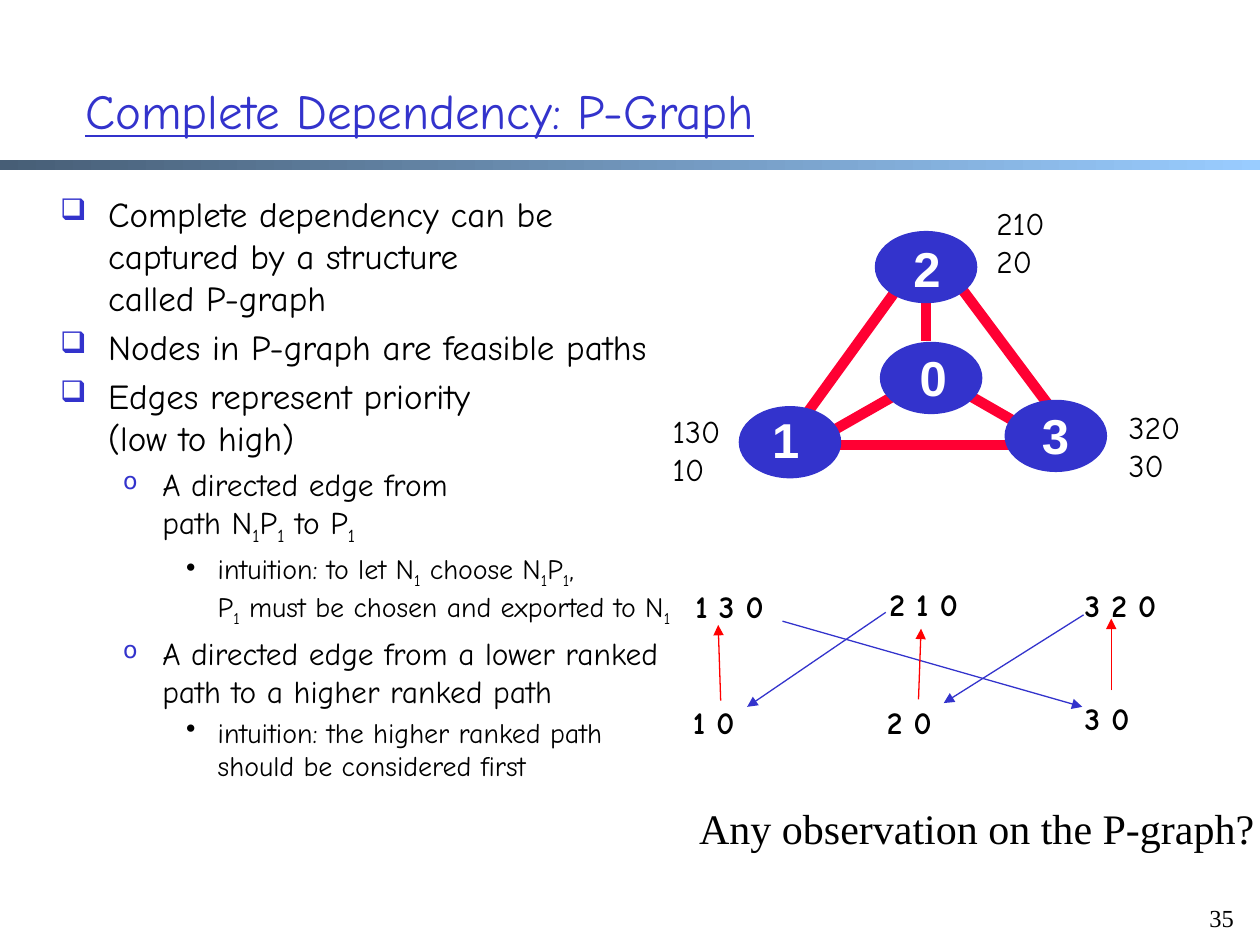
import pptx
import pptx.util
import pptx.dml.color
import pptx.enum.shapes
import pptx.enum.text
import pptx.oxml.ns
import lxml.etree

COLUMNS, ROWS = 100, 75
SLIDE_WIDTH, SLIDE_HEIGHT = pptx.util.Inches(10), pptx.util.Inches(7.5)
COLORS = {"blue": "3333CC", "red": "FF0000", "edge": "FF0033", "black": "000000",
          "white": "FFFFFF", "bar_start": "475E76", "bar_end": "99CCFF"}
HAND = "Comic Neue"
FORMATS = {
    "title": {"name": HAND, "size": 28, "underline": True, "color": "blue"},
    "topic": {"name": HAND, "size": 20},
    "point": {"name": HAND, "size": 18},
    "detail": {"name": HAND, "size": 16},
    "path": {"name": HAND, "size": 18, "bold": True},
    "node": {"name": "Arial", "size": 28, "bold": True, "color": "white"},
    "question": {"name": "Times New Roman", "size": 24},
    "number": {"name": "Times New Roman", "size": 14},
}
# Format: (bullet, text indent, hanging indent, bullet size in %, bullet colour)
BULLETS = {"topic": ("❑", 3.8, 3.8, 85, "blue"),
           "point": ("o", 8.1, 3.1, 75, "blue"),
           "detail": ("•", 12.5, 2.5, 100, "black")}
OUTLINE = [
    ("topic", "Complete dependency can be captured by a structure\ncalled P-graph"),
    ("topic", "Nodes in P-graph are feasible paths"),
    ("topic", "Edges represent priority \n(low to high)"),
    ("point", "A directed edge from \npath N_1_P_1_ to P_1_"),
    ("detail", "intuition: to let N_1_ choose N_1_P_1_, \n"
               "P_1_ must be chosen and exported to N_1_"),
    ("point", "A directed edge from a lower ranked path to a higher ranked path"),
    ("detail", "intuition: the higher ranked path should be considered first"),
]
NETWORK_EDGES = [(85.2, 34.8, 74.9, 21), (72.6, 21, 61.8, 35.9), (73.5, 19.4, 73.5, 27.1),
                 (73.1, 30.2, 65.9, 34.3), (82, 34.3, 76.6, 31.2), (86.1, 35.3, 61.8, 35.3)]
# Node: (ellipse left, ellipse top, digit left, digit top)
NODES = {"2": (69.5, 18.4, 71.5, 18.4), "0": (69.9, 27.2, 72, 27.1),
         "3": (79.8, 31.8, 81.7, 31.7), "1": (58.7, 32.3, 60.3, 32)}
RANKINGS = [("320\n30", 88.6, 31.9, 6.6), ("210\n20", 78.1, 15.7, 6.2),
            ("130\n10", 52.4, 32.2, 6.2)]
PATHS = [("1 3 0", 54.2, 46.1), ("2 1 0", 69.6, 45.9), ("3 2 0", 85.1, 46),
         ("1 0", 54, 55.3), ("2 0", 69.4, 55.3), ("3 0", 85.1, 55)]
DEPENDENCIES = {
    "blue": [(62.1, 49.3, 85.9, 56.1), (70.3, 48.6, 59.3, 56.1), (86, 48.8, 74.9, 55.8)],
    "red": [(57.2, 55.6, 57, 49.6), (72.9, 55.5, 73.1, 49.9), (88.2, 54.8, 88.2, 49.1)],
}


def color(name):
    return pptx.dml.color.RGBColor.from_string(COLORS[name])


def across(columns):
    return round(SLIDE_WIDTH * columns / COLUMNS)


def down(rows):
    return round(SLIDE_HEIGHT * rows / ROWS)


def area(left, top, width, height):
    return across(left), down(top), across(width), down(height)


def add_element(parent, tag, **attributes):
    return lxml.etree.SubElement(parent, pptx.oxml.ns.qn(tag), attributes)


def format_font(font, style):
    values = {"color": "black", **FORMATS[style]}
    font.color.rgb = color(values.pop("color"))
    values["size"] = pptx.util.Pt(values["size"])
    for name, value in values.items():
        setattr(font, name, value)


def write(para, text, style):
    """Write text in which \\n breaks the line and _x_ lowers x."""
    for row, line in enumerate(text.split("\n")):
        if row:
            para.add_line_break()
        for position, part in enumerate(line.split("_")):
            if not part:
                continue
            span = para.add_run()
            span.text = part
            format_font(span.font, style)
            if position % 2:
                span.font._element.set("baseline", "-25000")


def add_text(page, text, place, style, wrap=True):
    """Add a text box with one paragraph for each line of text."""
    box = page.shapes.add_textbox(*area(*place))
    frame = box.text_frame
    frame.word_wrap = wrap
    for row, line in enumerate(text.split("\n")):
        write(frame.add_paragraph() if row else frame.paragraphs[0], line, style)
    return frame


def add_bullet(para, style):
    sign, indent, hanging, size, shade = BULLETS[style]
    settings = para._p.get_or_add_pPr()
    settings.set("marL", str(across(indent)))
    settings.set("indent", str(-across(hanging)))
    add_element(add_element(settings, "a:buClr"), "a:srgbClr", val=COLORS[shade])
    add_element(settings, "a:buSzPct", val=str(size * 1000))
    add_element(settings, "a:buChar", char=sign)


def add_outline(page):
    box = page.shapes.add_textbox(*area(3.8, 14.8, 50.4, 53.1))
    box.text_frame.word_wrap = True
    for row, (style, text) in enumerate(OUTLINE):
        para = box.text_frame.add_paragraph() if row else box.text_frame.paragraphs[0]
        add_bullet(para, style)
        para.level = list(BULLETS).index(style)
        if row:
            para.space_before = pptx.util.Pt(FORMATS[style]["size"] * 0.2)
        write(para, text, style)


def add_line(page, ends, shade, width, arrow=False):
    left, top, right, bottom = ends
    line = page.shapes.add_connector(pptx.enum.shapes.MSO_CONNECTOR.STRAIGHT,
                                     across(left), down(top), across(right), down(bottom))
    line.line.color.rgb = color(shade)
    line.line.width = pptx.util.Pt(width)
    if arrow:
        add_element(line.line._get_or_add_ln(), "a:tailEnd", type="triangle")
    add_element(line._element.spPr, "a:effectLst")


def add_bar(page):
    bar = page.shapes.add_shape(pptx.enum.shapes.MSO_SHAPE.RECTANGLE,
                                *area(0, 12.7, COLUMNS, 0.8))
    bar.shadow.inherit = False
    bar.line.fill.background()
    bar.fill.gradient()
    bar.fill.gradient_angle = 0
    for stop, shade in zip(bar.fill.gradient_stops, ("bar_start", "bar_end")):
        stop.color.rgb = color(shade)


def add_node(page, digit, left, top, digit_left, digit_top):
    node = page.shapes.add_shape(pptx.enum.shapes.MSO_SHAPE.OVAL, *area(left, top, 8, 5.6))
    node.shadow.inherit = False
    node.fill.solid()
    node.fill.fore_color.rgb = color("blue")
    node.line.color.rgb = color("blue")
    node.line.width = pptx.util.Pt(1)
    add_text(page, digit, (digit_left, digit_top, 4.2, 5.7), "node", wrap=False)


def add_network(page):
    for ends in NETWORK_EDGES:
        add_line(page, ends, "edge", 6)
    for digit, places in NODES.items():
        add_node(page, digit, *places)
    for text, left, top, width in RANKINGS:
        add_text(page, text, (left, top, width, 7), "point", wrap=False)


def add_path_graph(page):
    for text, left, top in PATHS:
        add_text(page, text, (left, top, 12, 4), "path")
    for shade, arrows in DEPENDENCIES.items():
        for ends in arrows:
            add_line(page, ends, shade, 0.75, arrow=True)


def main():
    deck = pptx.Presentation()
    deck.slide_width, deck.slide_height = SLIDE_WIDTH, SLIDE_HEIGHT
    page = deck.slides.add_slide(deck.slide_layouts[6])
    add_bar(page)
    title = add_text(page, "Complete Dependency: P-Graph", (5.8, 2.5, 91.3, 12.5), "title")
    title.vertical_anchor = pptx.enum.text.MSO_ANCHOR.MIDDLE
    add_outline(page)
    add_path_graph(page)
    add_network(page)
    add_text(page, "Any observation on the P-graph?", (54.5, 63.2, 47.2, 5), "question",
             wrap=False)
    add_text(page, "35", (95, 71.2, 5, 5), "number")
    deck.save("out.pptx")


if __name__ == "__main__":
    main()
